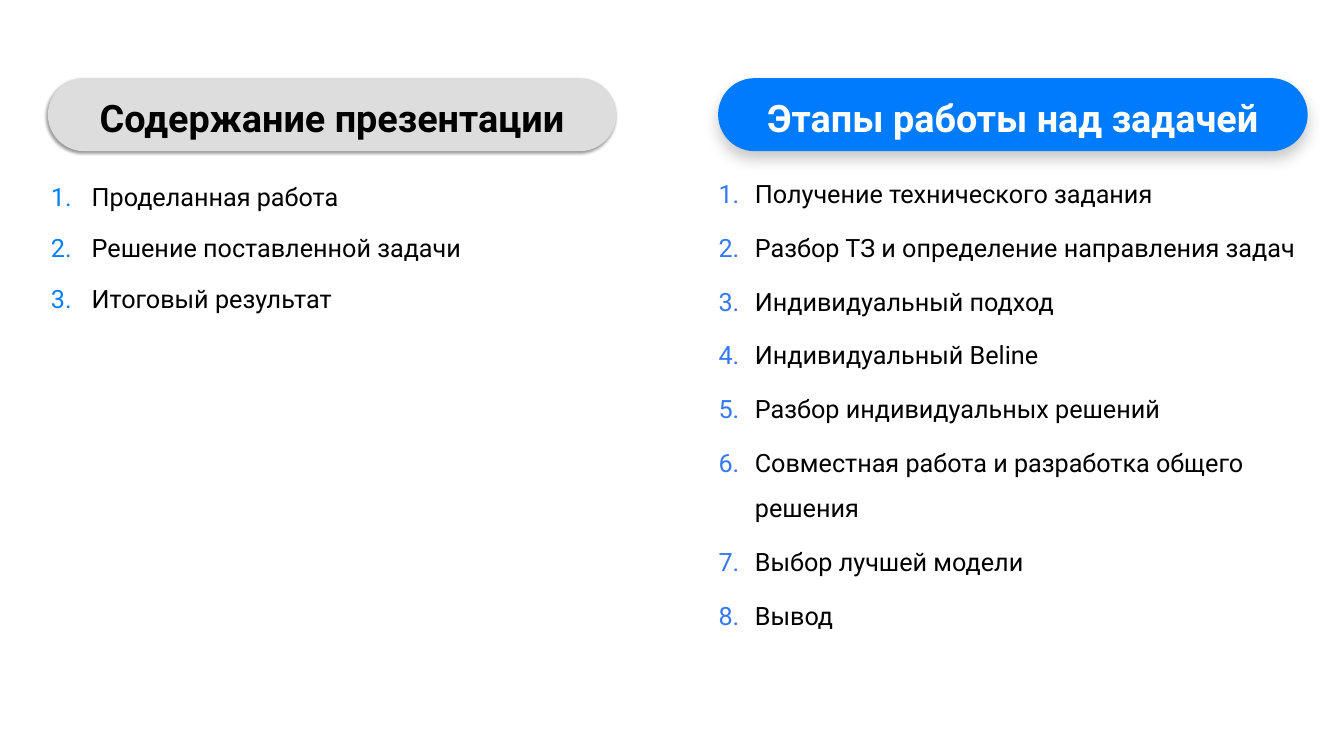
import pptx
import pptx.util
from dataclasses import dataclass
from lxml import etree
from pptx.dml.color import RGBColor
from pptx.enum.shapes import MSO_SHAPE
from pptx.enum.text import MSO_ANCHOR, MSO_AUTO_SIZE, PP_ALIGN
from pptx.oxml.ns import qn
from pptx.util import Inches, Pt


@dataclass(frozen=True)
class Theme:
    font: str = "Roboto"
    heading_size: int = 54
    body_size: int = 36
    black: str = "000000"
    white: str = "FEFFFE"
    blue: str = "007BFC"
    gray: str = "DDDDDD"
    contents_number: str = "007FFF"
    stages_number: str = "3479F3"


THEME = Theme()
HEADING_HEIGHT = 1.45
LIST_OFFSET = 1.68

CONTENTS = [
    "Проделанная работа",
    "Решение поставленной задачи",
    "Итоговый результат",
]
STAGES = [
    "Получение технического задания",
    "Разбор ТЗ и определение направления задач",
    "Индивидуальный подход",
    "Индивидуальный Beline",
    "Разбор индивидуальных решений",
    "Совместная работа и разработка общего решения",
    "Выбор лучшей модели",
    "Вывод",
]


def add_run(paragraph, text, size, color, bold=False):
    run = paragraph.add_run()
    run.text = text
    run.font.name = THEME.font
    run.font.size = Pt(size)
    run.font.bold = bold
    run.font.color.rgb = RGBColor.from_string(color)


def set_margins(text_frame, margin):
    text_frame.margin_left = text_frame.margin_right = Inches(margin)
    text_frame.margin_top = text_frame.margin_bottom = Inches(margin)


def add_shadow(shape, color, opacity, blur, distance, angle):
    """Blur and distance are in points, opacity in percent, angle in degrees."""
    shape.shadow.inherit = False
    effects = shape._element.spPr.find(qn("a:effectLst"))
    shadow = etree.SubElement(
        effects, qn("a:outerShdw"), blurRad=str(Pt(blur)), dist=str(Pt(distance)),
        dir=str(angle * 60000), algn="ctr", rotWithShape="0")
    shade = etree.SubElement(shadow, qn("a:srgbClr"), val=color)
    etree.SubElement(shade, qn("a:alpha"), val=str(opacity * 1000))


def add_numbering(paragraph, color, indent):
    properties = paragraph._p.get_or_add_pPr()
    properties.set("marL", str(Inches(indent)))
    properties.set("indent", str(-Inches(indent)))
    number_color = etree.SubElement(properties, qn("a:buClr"))
    etree.SubElement(number_color, qn("a:srgbClr"), val=color)
    etree.SubElement(properties, qn("a:buFont"), typeface=THEME.font)
    etree.SubElement(properties, qn("a:buAutoNum"), type="arabicPeriod")


def add_heading(slide, box, text, fill, color, shadow):
    shape = slide.shapes.add_shape(
        MSO_SHAPE.ROUNDED_RECTANGLE, *(Inches(length) for length in box))
    shape.adjustments[0] = 0.5
    shape.fill.solid()
    shape.fill.fore_color.rgb = RGBColor.from_string(fill)
    shape.line.fill.background()
    add_shadow(shape, *shadow)
    text_frame = shape.text_frame
    text_frame.word_wrap = True
    text_frame.vertical_anchor = MSO_ANCHOR.MIDDLE
    set_margins(text_frame, 0)
    paragraph = text_frame.paragraphs[0]
    paragraph.alignment = PP_ALIGN.CENTER
    paragraph.line_spacing = 1.1
    add_run(paragraph, text, THEME.heading_size, color, bold=True)


def add_numbered_list(slide, box, items, number_color, indent, gap, margin, anchor):
    text_box = slide.shapes.add_textbox(*(Inches(length) for length in box))
    text_frame = text_box.text_frame
    text_frame.word_wrap = True
    text_frame.auto_size = MSO_AUTO_SIZE.SHAPE_TO_FIT_TEXT
    text_frame.vertical_anchor = anchor
    set_margins(text_frame, margin)
    for index, item in enumerate(items):
        paragraph = text_frame.add_paragraph() if index else text_frame.paragraphs[0]
        add_numbering(paragraph, number_color, indent)
        paragraph.line_spacing = 1.5
        paragraph.space_before = Pt(gap if index else 0)
        add_run(paragraph, item, THEME.body_size, THEME.black)


def add_contents_column(slide, left, top, width):
    add_heading(slide, (left, top, width, HEADING_HEIGHT), "Содержание презентации",
                THEME.gray, THEME.black, ("000000", 40, 4, 3, 135))
    add_numbered_list(slide, (left, top + LIST_OFFSET, 10.44, 3.06), CONTENTS,
                      THEME.contents_number, indent=0.81, gap=8, margin=0.06,
                      anchor=MSO_ANCHOR.MIDDLE)


def add_stages_column(slide, left, top, width):
    add_heading(slide, (left, top, width, HEADING_HEIGHT), "Этапы работы над задачей",
                THEME.blue, THEME.white, ("2C2C2C", 25, 20, 10, 90))
    add_numbered_list(slide, (left, top + LIST_OFFSET, 11.86, 9.39), STAGES,
                      THEME.stages_number, indent=0.72, gap=12, margin=0.01,
                      anchor=MSO_ANCHOR.TOP)


def main():
    presentation = pptx.Presentation()
    presentation.slide_width = Inches(26.67)
    presentation.slide_height = Inches(15)
    slide = presentation.slides.add_slide(presentation.slide_layouts[6])

    # Left: contents of the talk; right: stages of the work
    add_contents_column(slide, left=0.95, top=1.55, width=11.28)
    add_stages_column(slide, left=14.25, top=1.55, width=11.7)

    presentation.save("out.pptx")


if __name__ == "__main__":
    main()
